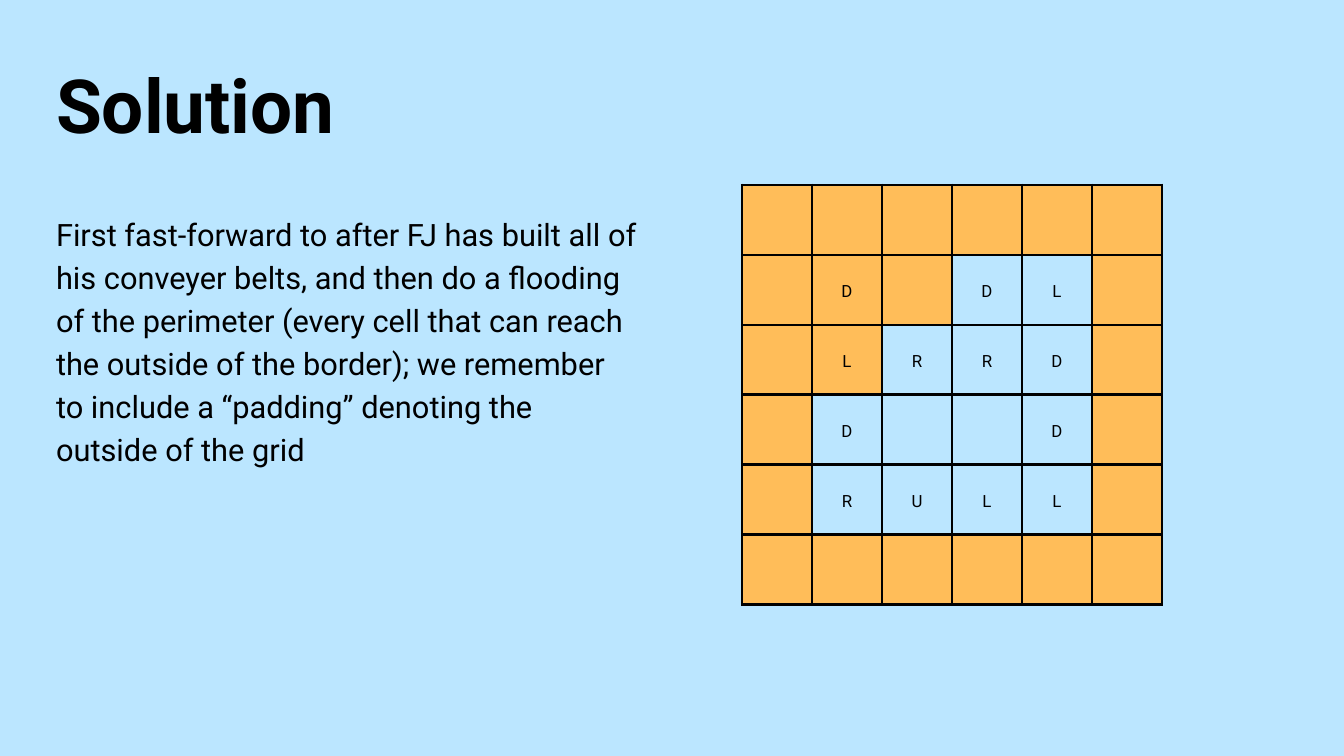
from lxml import etree
from pptx import Presentation
from pptx.dml.color import RGBColor
from pptx.enum.text import MSO_ANCHOR, MSO_AUTO_SIZE, PP_ALIGN
from pptx.oxml import parse_xml
from pptx.oxml.ns import nsdecls, qn
from pptx.util import Pt

LEFT, CENTER = PP_ALIGN.LEFT, PP_ALIGN.CENTER
TOP, MIDDLE = MSO_ANCHOR.TOP, MSO_ANCHOR.MIDDLE
NO_AUTOFIT = MSO_AUTO_SIZE.NONE

FONT = "Roboto"
COLORS = {"sky": "BBE6FF", "flooded": "FFBD59", "ink": "000000"}


def add_text(paragraph, text, size, spacing, align, bold=False):
    paragraph.alignment = align
    paragraph.line_spacing = Pt(spacing)
    paragraph.space_before = Pt(0)
    run = paragraph.add_run()
    run.text = text
    run.font.name = FONT
    run.font.size = Pt(size)
    run.font.bold = bold
    run.font.color.rgb = RGBColor.from_string(COLORS["ink"])


def place(placeholder, left, top, width, height):
    placeholder.left, placeholder.top = Pt(left), Pt(top)
    placeholder.width, placeholder.height = Pt(width), Pt(height)
    frame = placeholder.text_frame
    frame.margin_left = frame.margin_right = Pt(0)
    frame.margin_top = frame.margin_bottom = Pt(0)
    frame.word_wrap = True
    frame.auto_size = NO_AUTOFIT
    frame.vertical_anchor = TOP
    return frame.paragraphs[0]


prs = Presentation()
prs.slide_width, prs.slide_height = Pt(1440), Pt(810)
slide = prs.slides.add_slide(prs.slide_layouts[1])
slide.background.fill.solid()
slide.background.fill.fore_color.rgb = RGBColor.from_string(COLORS["sky"])

# Title
heading = place(slide.shapes.title, 60, 47.5, 827, 111)
add_text(heading, "Solution", 80, 112, LEFT, bold=True)

# Explanation, without a bullet
explanation = place(slide.placeholders[1], 60, 224, 625, 276)
properties = explanation._p.get_or_add_pPr()
properties.set("marL", "0")
properties.set("indent", "0")
etree.SubElement(properties, qn("a:buNone"))
add_text(
    explanation,
    "First fast-forward to after FJ has built all of his conveyer belts, "
    "and then do a flooding of the perimeter (every cell that can reach "
    "the outside of the border); we remember to include a “padding” "
    "denoting the outside of the grid",
    33, 46.2, LEFT)

# Conveyor belts, with a ring of padding around them
BELTS = ["D.DL", "LRRD", "D..D", "RULL"]
FLOODED_INSIDE = {(1, 1), (1, 2), (2, 1)}
SIDE = len(BELTS) + 2
CELL = 75

grid = slide.shapes.add_table(
    SIDE, SIDE, Pt(795), Pt(198), Pt(SIDE * CELL), Pt(SIDE * CELL)).table
grid.first_row = grid.horz_banding = False
for line in [*grid.rows]:
    line.height = Pt(CELL)
for line in [*grid.columns]:
    line.width = Pt(CELL)

for row in range(SIDE):
    for col in range(SIDE):
        cell = grid.cell(row, col)
        cell.margin_left = cell.margin_right = Pt(15)
        cell.margin_top = cell.margin_bottom = Pt(15)
        cell.vertical_anchor = MIDDLE

        # Borders come before the fill in the cell's XML
        for edge in ("lnL", "lnR", "lnT", "lnB"):
            cell._tc.get_or_add_tcPr().append(parse_xml(
                f'<a:{edge} {nsdecls("a")} w="{Pt(3)}"><a:solidFill>'
                f'<a:srgbClr val="{COLORS["ink"]}"/></a:solidFill></a:{edge}>'))

        padding = row in (0, SIDE - 1) or col in (0, SIDE - 1)
        if padding or (row, col) in FLOODED_INSIDE:
            cell.fill.solid()
            cell.fill.fore_color.rgb = RGBColor.from_string(COLORS["flooded"])
        else:
            cell.fill.background()

        belt = "." if padding else BELTS[row - 1][col - 1]
        if belt != ".":
            add_text(cell.text_frame.paragraphs[0], belt, 18, 25.2, CENTER)

prs.save("out.pptx")
